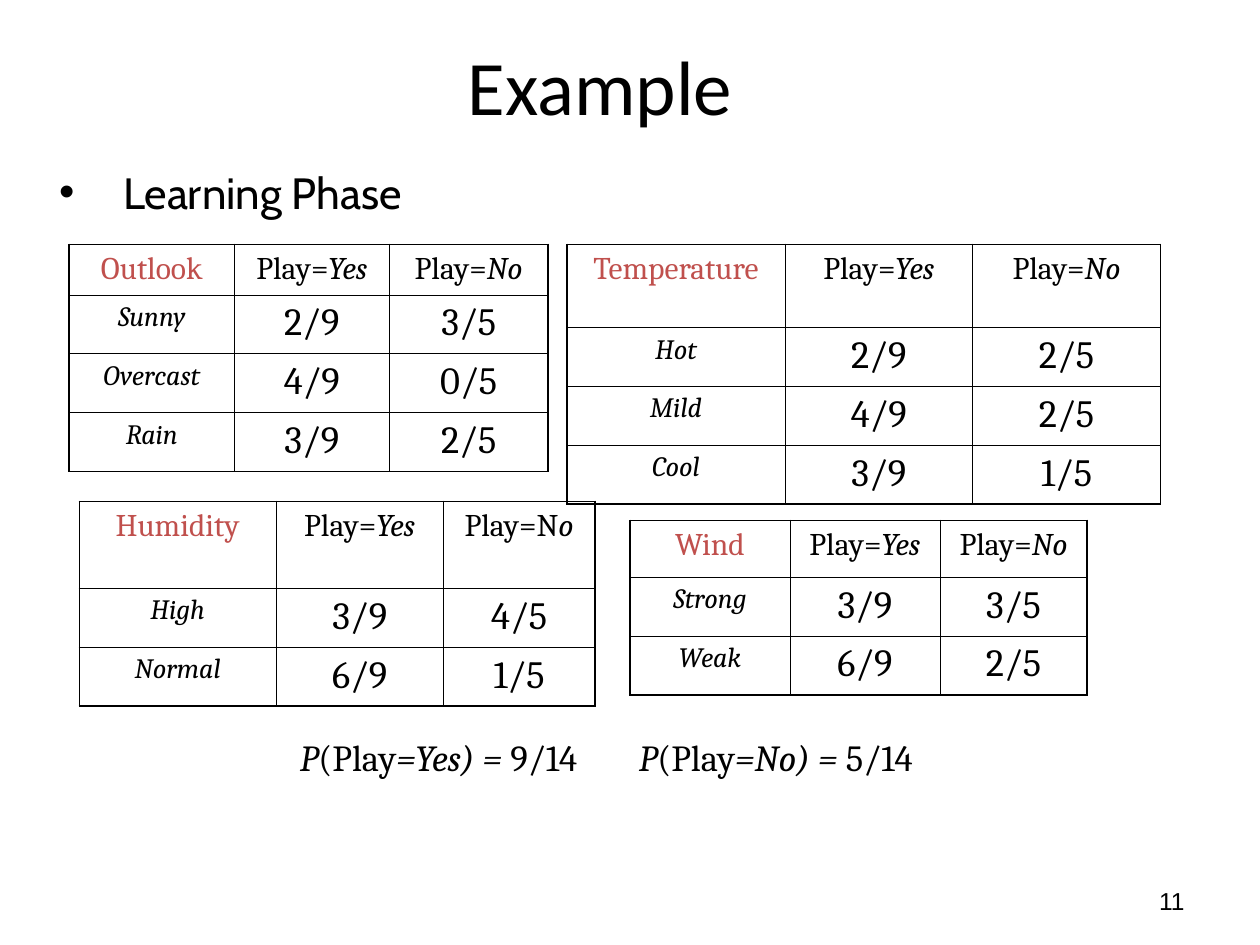
from dataclasses import dataclass

from lxml.etree import SubElement as Sub
from pptx import Presentation
from pptx.dml.color import RGBColor as Rgb
from pptx.enum.text import MSO_ANCHOR as Anchor, PP_ALIGN as Align
from pptx.oxml.ns import qn
from pptx.util import Inches, Pt

COLORS = {"ink": "000000", "head": "C0504D"}
THICK, THIN = 1.08, 0.45
ROW = 0.46
YES = (("Play=", False), ("Yes", True))
NO = (("Play=", False), ("No", True))


@dataclass
class Style:
    size: float
    font: str = "Cambria"
    color: str = "ink"


@dataclass
class Grid:
    name: str
    left: float
    top: float
    head: float
    cols: tuple
    rows: tuple
    last: tuple = NO


@dataclass
class Label:
    box: tuple
    runs: tuple
    style: Style
    align: Align = Align.LEFT
    anchor: Anchor = Anchor.TOP
    pad: tuple = (0.1, 0.05, 0.1, 0.05)
    wrap: bool = True


GRIDS = (
    Grid("Outlook", 0.55, 1.94, 0.4, (1.31, 1.23, 1.26),
         (("Sunny", "2/9", "3/5"), ("Overcast", "4/9", "0/5"),
          ("Rain", "3/9", "2/5"))),
    Grid("Temperature", 4.5, 1.94, 0.66, (1.73, 1.49, 1.49),
         (("Hot", "2/9", "2/5"), ("Mild", "4/9", "2/5"),
          ("Cool", "3/9", "1/5"))),
    Grid("Humidity", 0.63, 3.98, 0.69, (1.56, 1.33, 1.2),
         (("High", "3/9", "4/5"), ("Normal", "6/9", "1/5")),
         (("Play=N", False), ("o", True))),
    Grid("Wind", 5, 4.13, 0.45, (1.27, 1.19, 1.17),
         (("Strong", "3/9", "3/5"), ("Weak", "6/9", "2/5"))),
)


def write(para, runs: tuple, style: Style) -> None:
    for text, slant in runs:
        run = para.add_run()
        run.text = text
        run.font.size = Pt(style.size)
        run.font.name = style.font
        run.font.italic = slant
        run.font.color.rgb = Rgb.from_string(COLORS[style.color])


def set_pad(item, pad: tuple) -> None:
    sides = ("margin_left", "margin_top", "margin_right", "margin_bottom")
    for side, gap in zip(sides, pad):
        setattr(item, side, Inches(gap))


def add_label(slide, label: Label):
    frame = slide.shapes.add_textbox(*map(Inches, label.box)).text_frame
    frame.word_wrap = label.wrap
    frame.vertical_anchor = label.anchor
    set_pad(frame, label.pad)
    para = frame.paragraphs[0]
    para.alignment = label.align
    write(para, label.runs, label.style)
    return para


def add_bullet(para, indent: float) -> None:
    props = para._p.get_or_add_pPr()
    props.set("marL", str(Inches(indent)))
    props.set("indent", str(Inches(-indent)))
    tint = Sub(props, qn("a:buClr"))
    Sub(tint, qn("a:srgbClr"), val=COLORS["ink"])
    Sub(props, qn("a:buFont"), typeface="Arial")
    Sub(props, qn("a:buChar"), char="•")


def set_edges(cell, edges: dict) -> None:
    props = cell._tc.get_or_add_tcPr()
    for side, width in edges.items():
        line = Sub(props, qn(f"a:ln{side}"), w=str(Pt(width)))
        fill = Sub(line, qn("a:solidFill"))
        Sub(fill, qn("a:srgbClr"), val=COLORS["ink"])
    cell.fill.background()


def cell_text(grid: Grid, row: int, col: int) -> tuple:
    if row == 0:
        runs = (((grid.name, False),), YES, grid.last)[col]
        return runs, Style(18, color="ink" if col else "head")
    runs = ((grid.rows[row - 1][col], col == 0),)
    return runs, Style(22 if col else 16)


def add_grid(slide, grid: Grid) -> None:
    highs = [grid.head] + [ROW] * len(grid.rows)
    end, edge = len(highs) - 1, len(grid.cols) - 1
    size = (grid.left, grid.top, sum(grid.cols), sum(highs))
    table = slide.shapes.add_table(
        len(highs), len(grid.cols), *map(Inches, size)).table
    table.first_row = table.horz_banding = False
    for col, width in zip(table.columns, grid.cols):
        col.width = Inches(width)
    for r, high in enumerate(highs):
        table.rows[r].height = Inches(high)
        for c in range(len(grid.cols)):
            cell = table.cell(r, c)
            set_pad(cell, (0.09, 0.05, 0.09, 0.05))
            outer = {"L": c == 0, "R": c == edge, "T": r == 0, "B": r == end}
            set_edges(cell, {side: THICK if out else THIN
                             for side, out in outer.items()})
            para = cell.text_frame.paragraphs[0]
            para.alignment = Align.CENTER
            write(para, *cell_text(grid, r, c))


def add_prior(slide, left: float, width: float, case: str, odds: str) -> None:
    runs = (("P", True), ("(Play", False), (f"={case}) = ", True),
            (odds, False))
    add_label(slide, Label((left, 5.79, width, 0.44), runs, Style(21),
                           pad=(0.09, 0.04, 0.09, 0.04), wrap=False))


def main() -> None:
    deck = Presentation()
    deck.slide_width, deck.slide_height = Inches(10), Inches(7.5)
    slide = deck.slides.add_slide(deck.slide_layouts[6])
    add_label(slide, Label((0.44, 0.05, 9.56, 1.25), (("Example", False),),
                           Style(44, "Calibri"), Align.CENTER, Anchor.MIDDLE,
                           (0.1, 0.05, 1.01, 0.05)))
    add_label(slide, Label((7.17, 6.95, 2.33, 0.4), (("11", False),),
                           Style(14, "Arial"), Align.RIGHT, Anchor.MIDDLE))
    topic = add_label(slide, Label((0.37, 1.18, 9.48, 5.74),
                                   (("Learning Phase", False),),
                                   Style(25, "Cabin")))
    add_bullet(topic, 0.51)
    topic.line_spacing = 1.2
    for grid in GRIDS:
        add_grid(slide, grid)
    add_prior(slide, 2.29, 2.65, "Yes", "9/14")
    add_prior(slide, 4.98, 2.59, "No", "5/14")
    deck.save("out.pptx")


if __name__ == "__main__":
    main()
